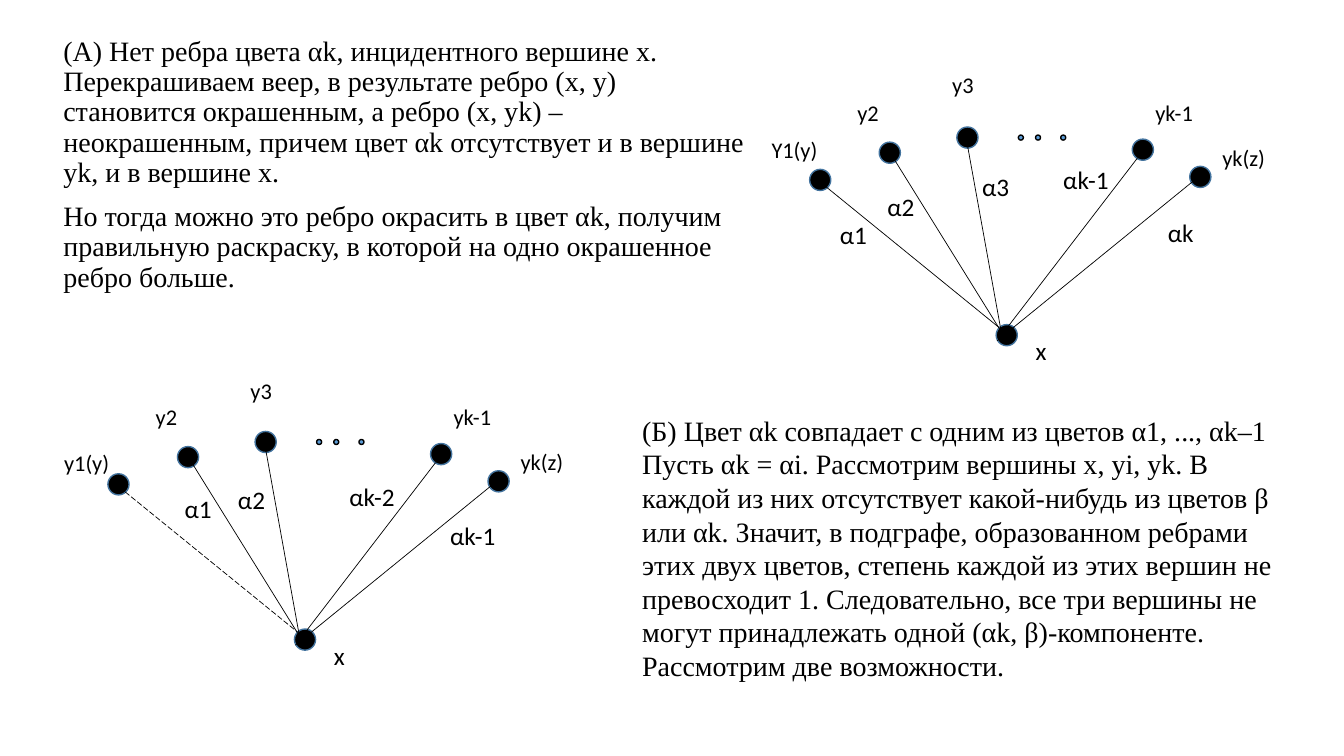
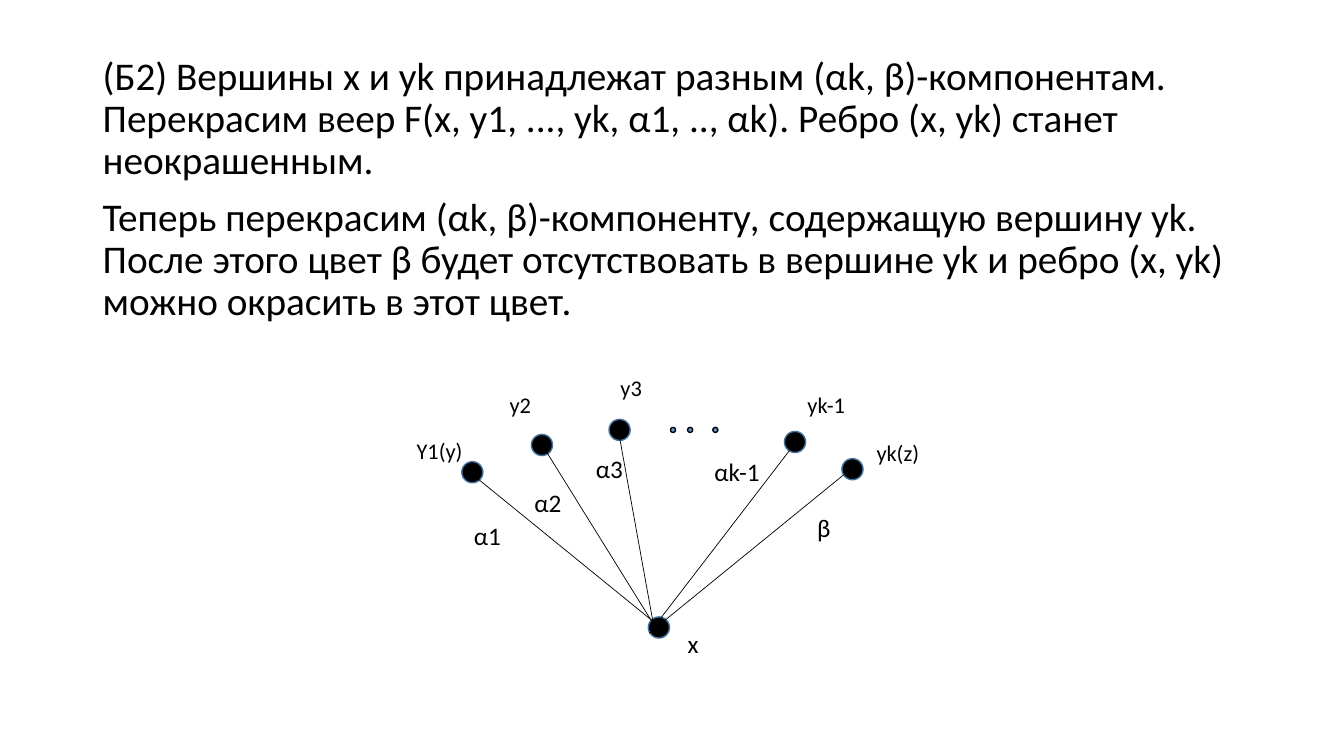
from dataclasses import dataclass

from lxml import etree
from pptx import Presentation
from pptx.dml.color import RGBColor
from pptx.enum.dml import MSO_LINE_DASH_STYLE as Dash
from pptx.enum.shapes import MSO_CONNECTOR_TYPE as Connector, MSO_SHAPE as Shape
from pptx.enum.text import MSO_AUTO_SIZE as AutoSize, PP_ALIGN as Align
from pptx.oxml.ns import qn
from pptx.util import Inches, Pt


@dataclass(frozen=True)
class Theme:
    ink: RGBColor = RGBColor(0x00, 0x00, 0x00)
    node_rim: RGBColor = RGBColor(0x43, 0x73, 0x9E)
    dot_fill: RGBColor = RGBColor(0x5B, 0x9B, 0xD5)
    sans: str = "Calibri"
    serif: str = "Times New Roman"
    vertex_size: int = 16
    color_size: int = 18
    serif_size: int = 20
    body_size: int = 28


theme = Theme()

# Fan geometry, measured from the left of y1 and the top of y3
NODE, DOT = 0.21, 0.05
nodes = [(0, 0.42), (0.69, 0.15), (1.46, 0), (3.2, 0.12), (3.77, 0.39), (1.85, 1.96)]
dots = [(2.07, 0.08), (2.24, 0.08), (2.49, 0.08)]
edges = [
    ((0.11, 0.55), (1.88, 1.99)),
    ((0.82, 0.29), (1.9, 2.03)),
    ((1.56, 0.15), (1.9, 2.03)),
    ((1.96, 1.99), (3.25, 0.31)),
    ((1.86, 2.12), (3.85, 0.5)),
]
circles = [(spot, NODE, theme.ink, theme.node_rim) for spot in nodes]
circles += [(spot, DOT, theme.dot_fill, theme.ink) for spot in dots]
shared_labels = [
    ("y2", 0.37, -0.33, 0.42, theme.vertex_size),
    ("yk-1", 3.32, -0.33, 0.59, theme.vertex_size),
    ("x", 2.14, 2.02, 0.31, theme.color_size),
]


def add_text(page, area, paragraphs, font, size, label=False, spacing=1.0, before=0):
    box = page.shapes.add_textbox(*(Inches(length) for length in area))
    frame = box.text_frame
    frame.word_wrap = not label
    frame.auto_size = AutoSize.SHAPE_TO_FIT_TEXT if label else AutoSize.NONE
    frame.text = "\n".join(paragraphs)
    for para in frame.paragraphs:
        para.alignment = Align.CENTER if label else Align.LEFT
        para.line_spacing = spacing
        para.space_before = Pt(before)
        for span in para.runs:
            span.font.name = font
            span.font.size = Pt(size)
            span.font.color.rgb = theme.ink


def add_fan(page, left, top, vertex_labels, color_labels, first_dashed=False):
    # Vertices and the ellipsis
    for (x, y), size, fill, rim in circles:
        circle = page.shapes.add_shape(
            Shape.OVAL, Inches(left + x), Inches(top + y), Inches(size), Inches(size))
        circle.shadow.inherit = False
        circle.fill.solid()
        circle.fill.fore_color.rgb = fill
        circle.line.color.rgb = rim
        circle.line.width = Pt(1)

    # Edges
    for index, ((x1, y1), (x2, y2)) in enumerate(edges):
        edge = page.shapes.add_connector(
            Connector.STRAIGHT, Inches(left + x1), Inches(top + y1),
            Inches(left + x2), Inches(top + y2))
        edge.line.color.rgb = theme.ink
        edge.line.width = Pt(0.5)
        if first_dashed and index == 0:
            edge.line.dash_style = Dash.LONG_DASH
        etree.SubElement(edge._element.spPr, qn("a:effectLst"))

    # Labels
    labels = shared_labels + [(*label, theme.vertex_size) for label in vertex_labels]
    labels += [(*label, theme.color_size) for label in color_labels]
    for text, x, y, width, size in labels:
        height = 0.37 if size == theme.vertex_size else 0.4
        add_text(page, (left + x, top + y, width, height), [text], theme.sans, size, label=True)


deck = Presentation()
deck.slide_width, deck.slide_height = Inches(13.33), Inches(7.5)
blank = deck.slide_layouts[6]

# Slide 1: cases А and Б
page = deck.slides.add_slide(blank)
add_text(page, (0.53, 0.32, 7.06, 3.09), [
    "(А) Нет ребра цвета αk, инцидентного вершине x. Перекрашиваем веер, в результате "
    "ребро (x, y) становится окрашенным, а ребро (x, yk) – неокрашенным, причем цвет αk "
    "отсутствует и в вершине yk, и в вершине x.",
    "Но тогда можно это ребро окрасить в цвет αk, получим правильную раскраску, "
    "в которой на одно окрашенное ребро больше.",
], theme.serif, theme.serif_size, spacing=0.9, before=10)
add_text(page, (6.27, 4.05, 6.67, 2.79), [
    "(Б) Цвет αk совпадает с одним из цветов α1, ..., αk–1 Пусть αk = αi. Рассмотрим "
    "вершины x, yi, yk. В каждой из них отсутствует какой-нибудь из цветов β или αk. "
    "Значит, в подграфе, образованном ребрами этих двух цветов, степень каждой из этих "
    "вершин не превосходит 1. Следовательно, все три вершины не могут принадлежать одной "
    "(αk, β)-компоненте. Рассмотрим две возможности.",
], theme.serif, theme.serif_size)
add_fan(
    page, 8.03, 1.26,
    [("Y1(y)", -0.48, 0.04, 0.66), ("y3", 1.31, -0.6, 0.42), ("yk(z)", 3.99, 0.12, 0.63)],
    [("α1", 0.2, 0.87, 0.47), ("α2", 0.67, 0.59, 0.47), ("α3", 1.61, 0.39, 0.47),
     ("αk-1", 2.41, 0.32, 0.66), ("αk", 3.45, 0.85, 0.46)])
add_fan(
    page, 1.07, 4.28,
    [("y1(y)", -0.54, 0.13, 0.66), ("y3", 1.31, -0.59, 0.42), ("yk(z)", 3.99, 0.12, 0.63)],
    [("α1", 0.66, 0.56, 0.47), ("α2", 1.19, 0.48, 0.47),
     ("αk-2", 2.29, 0.45, 0.66), ("αk-1", 3.29, 0.83, 0.66)],
    first_dashed=True)

# Slide 2: case Б2
page = deck.slides.add_slide(blank)
add_text(page, (0.92, 0.51, 11.5, 2.99), [
    "(Б2) Вершины x и yk принадлежат разным (αk, β)-компонентам. Перекрасим веер "
    "F(x, y1, ..., yk, α1, .., αk). Ребро (x, yk) станет неокрашенным.",
    "Теперь перекрасим (αk, β)-компоненту, содержащую вершину yk. После этого цвет β "
    "будет отсутствовать в вершине yk и ребро (x, yk) можно окрасить в этот цвет.",
], theme.sans, theme.body_size, spacing=0.9, before=10)
add_fan(
    page, 4.58, 4.16,
    [("Y1(y)", -0.55, 0.13, 0.66), ("y3", 1.47, -0.5, 0.42), ("yk(z)", 4.01, 0.15, 0.63)],
    [("α1", 0.02, 0.95, 0.47), ("α2", 0.62, 0.63, 0.47), ("α3", 1.23, 0.29, 0.47),
     ("αk-1", 2.4, 0.32, 0.66), ("β", 3.42, 0.87, 0.34)])

deck.save("out.pptx")
